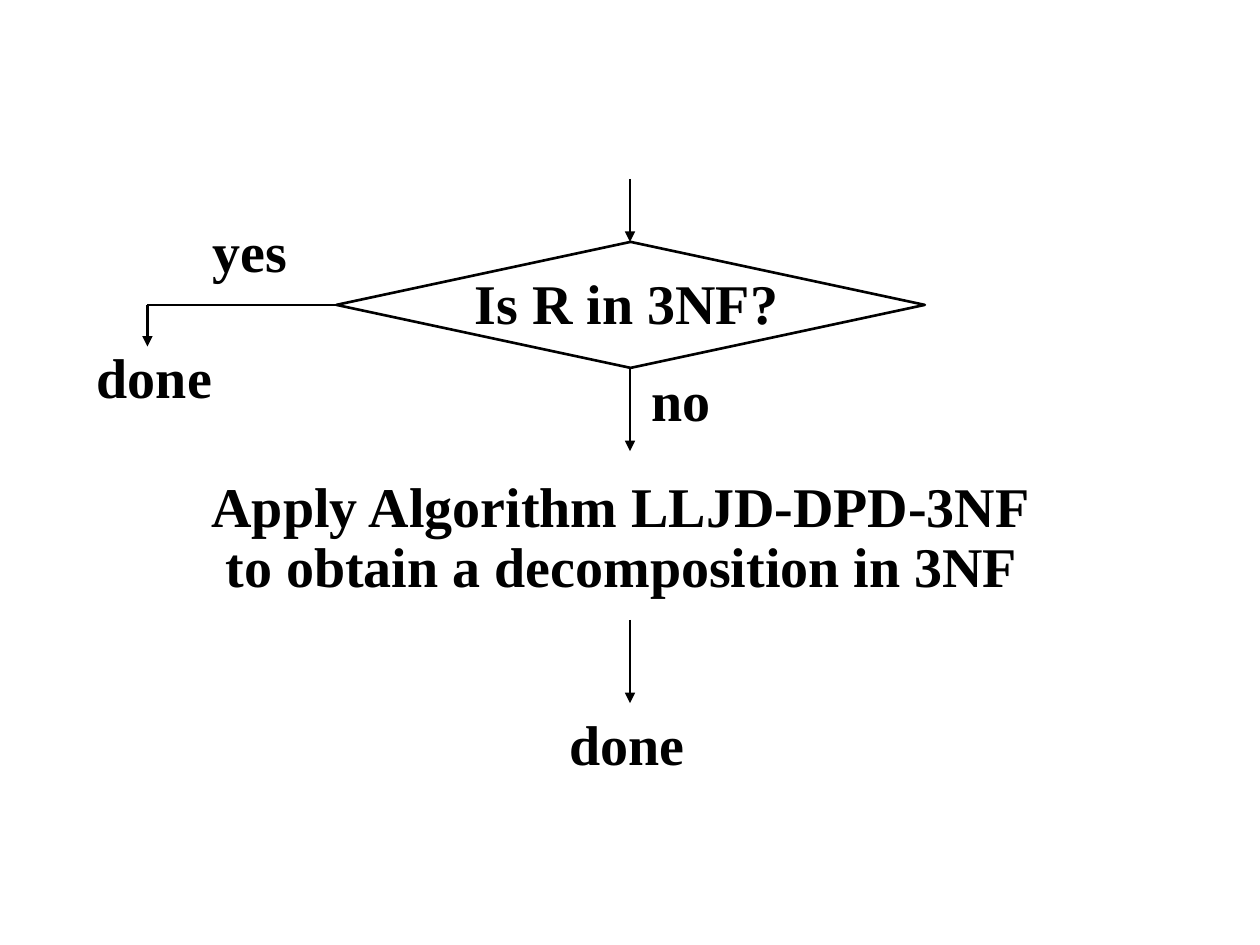
"""Build a flowchart slide for decomposing a relation into 3NF."""
from lxml import etree
from pptx import Presentation
from pptx import util as u
from pptx.dml.color import RGBColor
from pptx.enum import shapes, text
from pptx.oxml import ns

BLACK = RGBColor(0x00, 0x00, 0x00)
FONT = "Times New Roman"
LINE_WIDTH = u.Pt(1.5)
CENTER_X = 5
BRANCH_X = 1.17
BRANCH_Y = 2.42
DIAMOND_LEFT = 2.67

presentation = Presentation()
presentation.slide_width = u.Inches(10)
presentation.slide_height = u.Inches(7.5)
slide = presentation.slides.add_slide(presentation.slide_layouts[6])


def add_text(content, left, top, width, height=0.64, wrap=False, spacing=1.0, size=32):
    box = slide.shapes.add_textbox(
        u.Inches(left), u.Inches(top), u.Inches(width), u.Inches(height)
    )
    frame = box.text_frame
    frame.text = content
    frame.word_wrap = wrap
    frame.auto_size = text.MSO_AUTO_SIZE.SHAPE_TO_FIT_TEXT
    for paragraph in frame.paragraphs:
        paragraph.line_spacing = spacing
        font = paragraph.runs[0].font
        font.name = FONT
        font.size = u.Pt(size)
        font.bold = True
        font.color.rgb = BLACK


def add_line(start_x, start_y, end_x, end_y, arrow=True):
    connector = slide.shapes.add_connector(
        shapes.MSO_CONNECTOR.STRAIGHT,
        u.Inches(start_x), u.Inches(start_y), u.Inches(end_x), u.Inches(end_y),
    )
    connector.line.color.rgb = BLACK
    connector.line.width = LINE_WIDTH
    properties = connector._element.spPr
    if arrow:
        etree.SubElement(properties.get_or_add_ln(), ns.qn("a:tailEnd"), type="triangle")
    etree.SubElement(properties, ns.qn("a:effectLst"))


diamond = slide.shapes.add_shape(
    shapes.MSO_SHAPE.DIAMOND,
    u.Inches(DIAMOND_LEFT), u.Inches(1.92), u.Inches(4.67), u.Inches(1),
)
diamond.shadow.inherit = False
diamond.fill.background()
diamond.line.color.rgb = BLACK
diamond.line.width = LINE_WIDTH

for top, bottom in ((1.42, 1.92), (2.92, 3.58), (4.92, 5.58)):
    add_line(CENTER_X, top, CENTER_X, bottom)
add_line(DIAMOND_LEFT, BRANCH_Y, BRANCH_X, BRANCH_Y, arrow=False)
add_line(BRANCH_X, BRANCH_Y, BRANCH_X, 2.75)

for label, left, top, width in (
    ("Is R in 3NF?", 3.67, 2.08, 2.62),
    ("yes", 1.59, 1.67, 0.8),
    ("done", 0.67, 2.67, 1.13),
    ("no", 5.07, 2.85, 0.68),
    ("done", 4.42, 5.58, 1.13),
):
    add_text(label, left, top, width)
add_text(
    "Apply Algorithm LLJD-DPD-3NF\n to obtain a decomposition in 3NF",
    1.58, 3.75, 6.88, height=1.06, wrap=True, spacing=0.9,
)

presentation.save("out.pptx")
